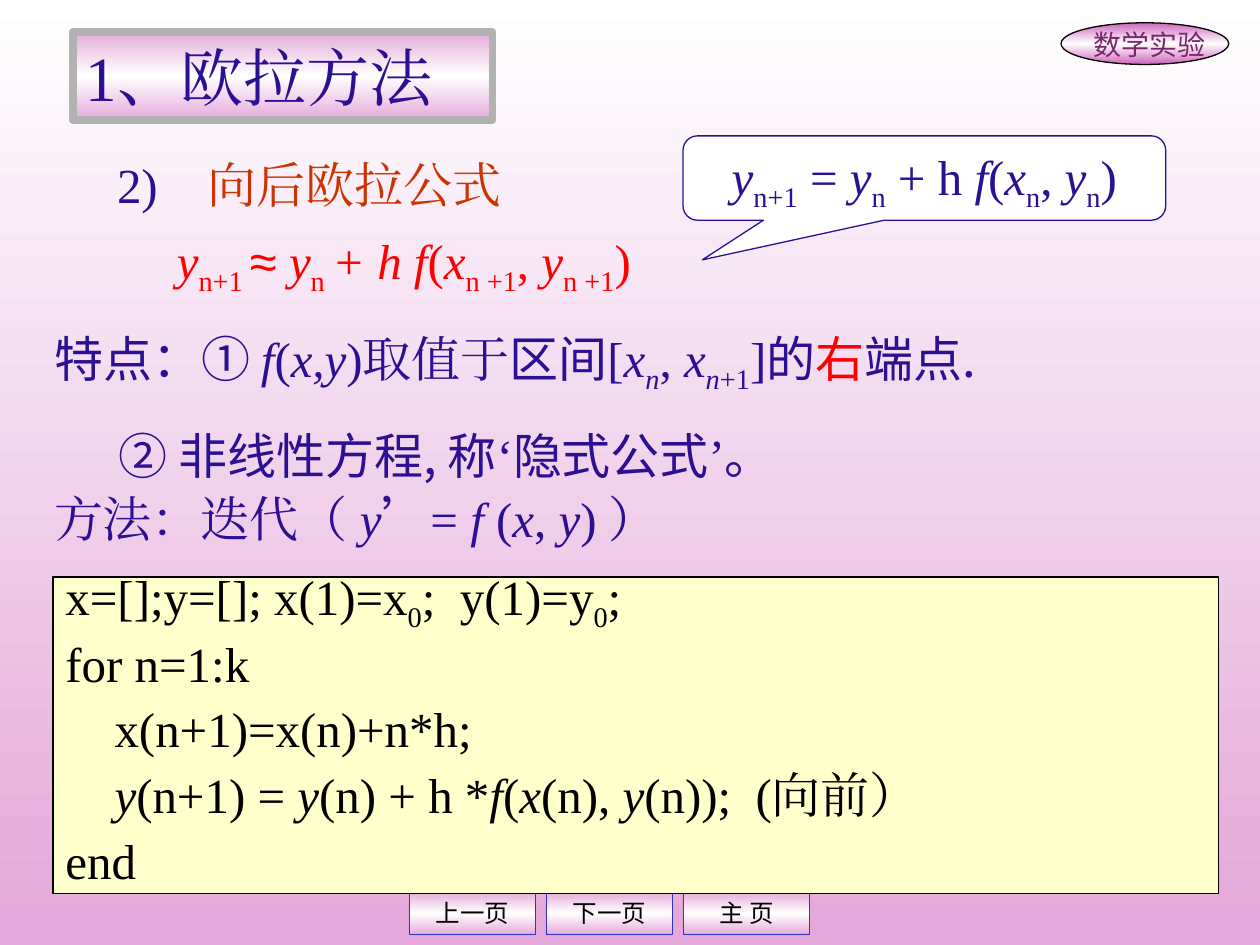
"""Build the lecture slide on the backward Euler formula."""
from copy import deepcopy
from dataclasses import dataclass

from pptx import Presentation
from pptx.dml.color import RGBColor
from pptx.enum.shapes import MSO_SHAPE as Shape
from pptx.enum.text import MSO_ANCHOR as Anchor, MSO_AUTO_SIZE as AutoSize, PP_ALIGN as Align
from pptx.oxml.ns import qn
from pptx.util import Cm, Pt


@dataclass(frozen=True)
class Theme:
    """Colours, fonts and type sizes of the slide."""
    ink: str = "2C1094"
    black: str = "000000"
    white: str = "FFFFFF"
    red: str = "FF0000"
    rust: str = "CC3300"
    plum: str = "77276A"
    code: str = "FFFFCC"
    frame: str = "B2B2B2"
    button: str = "3333CC"
    page: tuple = ("FFFFFF", "E3A7D9")
    bar: tuple = ("E4AADA", "FFFFFF", "E4AADA")
    badge: tuple = ("CE66BD", "FFFFFF", "CE66BD")
    latin: str = "Times New Roman"
    cjk: str = "Noto Sans CJK SC"
    symbol: str = "Arial"
    title: int = 36
    body: int = 28
    label: int = 16
    small: int = 14


T = Theme()
ITALIC, SUB, RED, CJK, SYMBOL = "/", "_", "^", "|", "~"


def rgb(value):
    """Turn a hex string into a colour."""
    return RGBColor.from_string(value)


def paint(fill, colours):
    """Fill with one colour, or with an even top-to-bottom gradient."""
    if isinstance(colours, str):
        fill.solid()
        fill.fore_color.rgb = rgb(colours)
        return
    fill.gradient()
    fill.gradient_angle = 270
    first = fill.gradient_stops[0]._gs
    for _ in colours[2:]:
        first.getparent().append(deepcopy(first))
    for i, (stop, colour) in enumerate(zip(fill.gradient_stops, colours)):
        stop.color.rgb = rgb(colour)
        stop.position = i / (len(colours) - 1)


def outline(sp, colour, width=0.75):
    """Draw the border of a shape."""
    sp.line.color.rgb = rgb(colour)
    sp.line.width = Pt(width)


def split_marks(text):
    """Yield pieces of marked text with the set of marks in force."""
    marks, piece = set(), ""
    for ch in text:
        if ch in (ITALIC, SUB, RED, CJK, SYMBOL):
            if piece:
                yield piece, frozenset(marks)
            marks ^= {ch}
            piece = ""
        else:
            piece += ch
    if piece:
        yield piece, frozenset(marks)


def add_run(p, text, marks, size, colour, accent):
    """Add one formatted run to a paragraph."""
    r = p.add_run()
    r.text = text
    font = r.font
    font.size = Pt(size)
    font.bold = False
    font.italic = ITALIC in marks
    font.color.rgb = rgb(accent if RED in marks else colour)
    font.name = T.cjk if CJK in marks else T.symbol if SYMBOL in marks else T.latin
    rpr = r._r.get_or_add_rPr()
    if SUB in marks:
        rpr.set("baseline", "-25000")
    ea = deepcopy(rpr.find(qn("a:latin")))
    ea.tag = qn("a:ea")
    rpr.find(qn("a:latin")).addnext(ea)


def write(sp, lines, size=T.body, colour=T.ink, accent=T.red, align=Align.LEFT,
          spacing=1.0, hang=0):
    """Write (indent in cm, marked text) lines into a shape."""
    tf = sp.text_frame
    tf.word_wrap = True
    tf.auto_size = AutoSize.NONE
    tf.vertical_anchor = Anchor.TOP
    for i, (indent, text) in enumerate(lines):
        p = tf.add_paragraph() if i else tf.paragraphs[0]
        p.alignment = align
        p.line_spacing = spacing
        p.space_before = Pt(size * 0.625)
        ppr = p._p.get_or_add_pPr()
        ppr.set("marL", str(Cm(indent)))
        ppr.set("indent", str(Cm(-hang)))
        ppr.append(ppr.makeelement(qn("a:buNone"), {}))
        for piece, marks in split_marks(text):
            add_run(p, piece, marks, size, colour, accent)


def add_box(slide, kind, box, fill, line):
    """Add a filled and outlined preset shape."""
    sp = slide.shapes.add_shape(kind, *map(Cm, box))
    sp.shadow.inherit = False
    paint(sp.fill, fill)
    outline(sp, line)
    return sp


def add_text(slide, box, lines, **style):
    """Add a text box holding the given lines."""
    write(slide.shapes.add_textbox(*map(Cm, box)), lines, **style)


def place(sp, box):
    """Move and size a placeholder."""
    sp.left, sp.top, sp.width, sp.height = map(Cm, box)


def add_buttons(slide):
    """Add the row of navigation buttons."""
    for i, caption in enumerate(("上一页", "下一页", "主 页")):
        sp = add_box(slide, Shape.RECTANGLE, (8.26 + 2.76 * i, 17.98, 2.54, 0.86),
                     T.bar, T.button)
        write(sp, [(0, f"|{caption}|")], size=T.small, colour=T.black, align=Align.CENTER)


def add_badge(slide):
    """Add the course badge in the corner."""
    add_box(slide, Shape.OVAL, (21.39, 0.46, 3.38, 0.84), T.badge, T.black)
    add_text(slide, (21.59, 0.43, 3.18, 0.94), [(0, "|数学实验|")],
             size=T.label, colour=T.plum, align=Align.CENTER)


def add_title(slide):
    """Fill the framed title."""
    title = slide.shapes.title
    place(title, (1.47, 0.64, 8.46, 1.78))
    paint(title.fill, T.bar)
    outline(title, T.frame, 4.5)
    write(title, [(0, "1、欧拉方法")], size=T.title)


def add_body(slide):
    """Fill the formula and its features."""
    body = slide.placeholders[1]
    place(body, (0.84, 4.52, 23.7, 5.38))
    write(body, [
        (2.47, "^/y/_n+1 _~≈~/ y/_n _/+ h f/(/x/_n +1_, /y/_n +1_)^"),
        (0, "|特点：① |/f/(/x,y/)取值于|区间|[/x_n_/, /x_n/+1_]|的^右^端点.|"),
        (1.3, "|② 非线性方程, 称|‘|隐式公式|’|。|"),
    ])


def add_callout(slide):
    """Add the forward formula in a speech bubble."""
    sp = add_box(slide, Shape.ROUNDED_RECTANGULAR_CALLOUT, (13.77, 2.74, 9.73, 1.7),
                 T.white, T.ink)
    for i, value in enumerate((-0.46, 0.97, 0.17)):
        sp.adjustments[i] = value
    write(sp, [(0, "/y/_n+1_ = /y/_n_ + h /f/(/x/_n_, /y/_n_)")], align=Align.CENTER)


def add_code(slide):
    """Add the program listing."""
    sp = add_box(slide, Shape.RECTANGLE, (1.07, 11.63, 23.5, 6.38), T.code, T.black)
    write(sp, [
        (0, "x=[];y=[]; x(1)=x_0_;  y(1)=y_0_;"),
        (0, "for n=1:k"),
        (0.99, "x(n+1)=x(n)+n*h;"),
        (0.99, "/y/(n+1) = /y/(n) + h */f/(/x/(n), /y/(n));  (向前）"),
        (0, "end"),
    ], colour=T.black, spacing=0.6)


def main():
    """Build and save the slide."""
    prs = Presentation()
    prs.slide_width, prs.slide_height = Cm(25.4), Cm(19.05)
    slide = prs.slides.add_slide(prs.slide_layouts[1])
    paint(slide.background.fill, T.page)
    add_title(slide)
    add_body(slide)
    add_buttons(slide)
    add_badge(slide)
    add_callout(slide)
    add_text(slide, (2.11, 3, 9.53, 1.45), [(1.83, "2)\t^向后欧拉公式^")],
             accent=T.rust, hang=1.83)
    add_text(slide, (0.84, 9.73, 19.05, 1.45),
             [(0, "方法：迭代（ /y/|’|= /f /(/x/, /y/) ）")])
    add_code(slide)
    prs.save("out.pptx")


if __name__ == "__main__":
    main()
